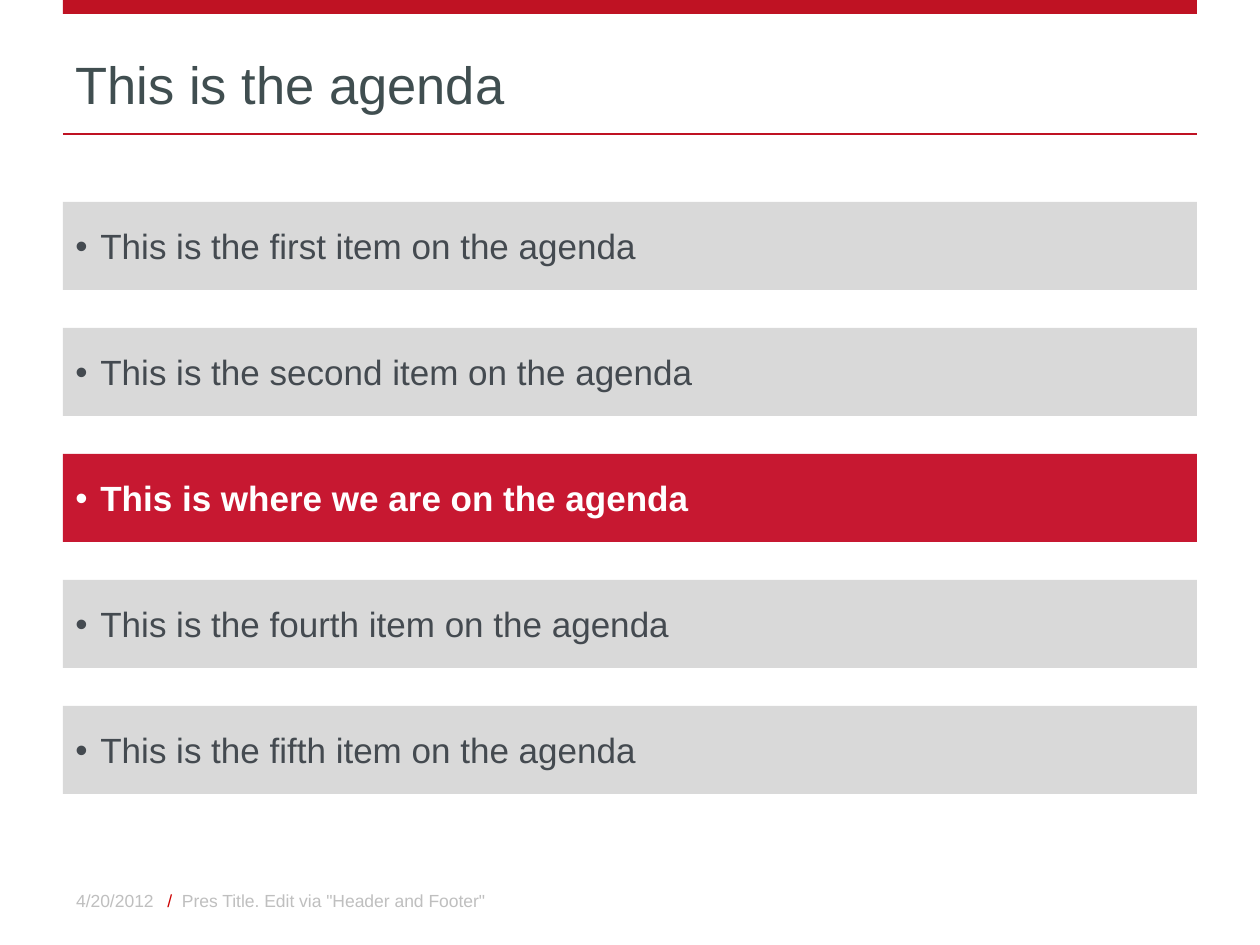
from lxml import etree
from pptx import Presentation
from pptx.dml.color import RGBColor
from pptx.enum.shapes import MSO_CONNECTOR, MSO_SHAPE
from pptx.enum.text import MSO_ANCHOR, PP_ALIGN
from pptx.oxml.ns import qn
from pptx.util import Pt

PX = 914400 // 126
WHITE = RGBColor(0xFF, 0xFF, 0xFF)
RED = RGBColor(0xBF, 0x12, 0x23)
HIGHLIGHT = RGBColor(0xC7, 0x18, 0x31)
SLASH_RED = RGBColor(0xCC, 0x00, 0x00)
TITLE_GREY = RGBColor(0x40, 0x4E, 0x50)
TEXT_GREY = RGBColor(0x44, 0x4A, 0x50)
BAR_GREY = RGBColor(0xD9, 0xD9, 0xD9)
FOOTER_GREY = RGBColor(0xBF, 0xBF, 0xBF)

LEFT, WIDTH = 63, 1134
BAR_TOP, BAR_HEIGHT, BAR_STEP = 202, 88, 126
INDENT = 25
AGENDA = [
    "This is the first item on the agenda",
    "This is the second item on the agenda",
    "This is where we are on the agenda",
    "This is the fourth item on the agenda",
    "This is the fifth item on the agenda",
]
CURRENT = 2


def box(*lengths):
    return [length * PX for length in lengths]


def add_text(paragraph, text, size, color, bold=False):
    run = paragraph.add_run()
    run.text = text
    run.font.name = "Arial"
    run.font.size = Pt(size)
    run.font.bold = bold
    run.font.color.rgb = color


prs = Presentation()
prs.slide_width, prs.slide_height = box(1260, 945)
slide = prs.slides.add_slide(prs.slide_layouts[5])
shapes = slide.shapes

title = shapes.title
title.left, title.top, title.width, title.height = box(LEFT, 35, WIDTH, 86)
title.text_frame.vertical_anchor = MSO_ANCHOR.BOTTOM
title.text_frame.paragraphs[0].alignment = PP_ALIGN.LEFT
add_text(title.text_frame.paragraphs[0], "This is the agenda", 30, TITLE_GREY)

top_band = shapes.add_shape(MSO_SHAPE.RECTANGLE, *box(LEFT, 0, WIDTH, 14))
top_band.shadow.inherit = False
top_band.fill.solid()
top_band.fill.fore_color.rgb = RED
top_band.line.fill.background()

rule = shapes.add_connector(MSO_CONNECTOR.STRAIGHT, *box(LEFT, 134, LEFT + WIDTH, 134))
rule.line.color.rgb = RED
rule.line.width = Pt(1)
etree.SubElement(rule._element.spPr, qn("a:effectLst"))

for index, item in enumerate(AGENDA):
    current = index == CURRENT
    color = WHITE if current else TEXT_GREY
    bar = shapes.add_shape(
        MSO_SHAPE.ROUNDED_RECTANGLE,
        *box(LEFT, BAR_TOP + index * BAR_STEP, WIDTH, BAR_HEIGHT))
    bar.adjustments[0] = 0
    bar.shadow.inherit = False
    bar.fill.solid()
    bar.fill.fore_color.rgb = HIGHLIGHT if current else BAR_GREY
    bar.line.fill.background()
    bar.text_frame.word_wrap = True
    bar.text_frame.vertical_anchor = MSO_ANCHOR.MIDDLE
    paragraph = bar.text_frame.paragraphs[0]
    paragraph.alignment = PP_ALIGN.LEFT
    add_text(paragraph, item, 20, color, current)
    properties = paragraph._p.get_or_add_pPr()
    properties.set("marL", str(INDENT * PX))
    properties.set("indent", str(-INDENT * PX))
    bullet_color = etree.SubElement(properties, qn("a:buClr"))
    etree.SubElement(bullet_color, qn("a:srgbClr"), val=str(color))
    etree.SubElement(properties, qn("a:buFont"), typeface="Arial")
    etree.SubElement(properties, qn("a:buChar"), char="•")

footers = [
    (20, 146, PP_ALIGN.RIGHT, [("4/20/2012", FOOTER_GREY)]),
    (155, 399, PP_ALIGN.LEFT, [
        ("/ ", SLASH_RED), (' Pres Title. Edit via "Header and Footer"', FOOTER_GREY)]),
]
for left, width, alignment, runs in footers:
    frame = shapes.add_textbox(*box(left, 876, width, 50)).text_frame
    frame.word_wrap = True
    frame.vertical_anchor = MSO_ANCHOR.MIDDLE
    frame.paragraphs[0].alignment = alignment
    for text, color in runs:
        add_text(frame.paragraphs[0], text, 10, color)

prs.save("out.pptx")
